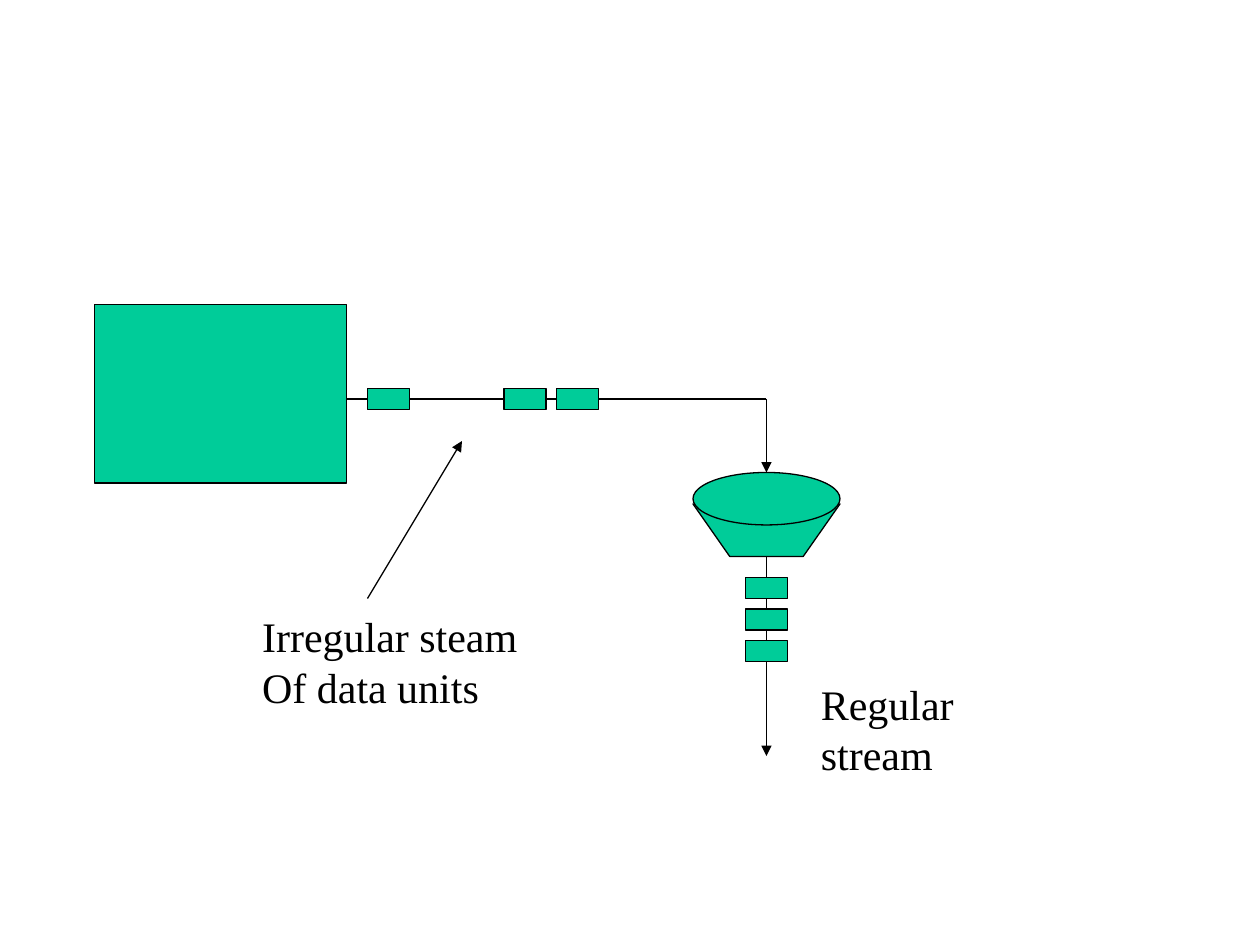
from lxml import etree
from pptx import Presentation
from pptx.dml.color import RGBColor
from pptx.enum.shapes import MSO_CONNECTOR, MSO_SHAPE
from pptx.oxml.ns import qn
from pptx.util import Pt

GREEN, BLACK = "00CC99", "000000"
UNIT_WIDTH, UNIT_HEIGHT = 24, 12
INPUT_Y, OUTPUT_X = 228, 438


def color(hex_value):
    return RGBColor.from_string(hex_value)


def style(shape):
    shape.shadow.inherit = False
    shape.fill.solid()
    shape.fill.fore_color.rgb = color(GREEN)
    shape.line.color.rgb = color(BLACK)
    shape.line.width = Pt(0.75)
    return shape


def add_figure(slide, kind, left, top, width, height):
    return style(slide.shapes.add_shape(kind, Pt(left), Pt(top), Pt(width), Pt(height)))


def add_data_unit(slide, center_x, center_y):
    add_figure(slide, MSO_SHAPE.RECTANGLE, center_x - UNIT_WIDTH / 2,
               center_y - UNIT_HEIGHT / 2, UNIT_WIDTH, UNIT_HEIGHT)


def add_outline(slide, points):
    start, *rest = [(Pt(x), Pt(y)) for x, y in points]
    builder = slide.shapes.build_freeform(*start)
    builder.add_line_segments(rest, close=True)
    return style(builder.convert_to_shape())


def add_line(slide, start, end, arrow=True):
    line = slide.shapes.add_connector(
        MSO_CONNECTOR.STRAIGHT, *[Pt(value) for value in (*start, *end)])
    line.line.color.rgb = color(BLACK)
    line.line.width = Pt(0.75)
    if arrow:
        etree.SubElement(line.line._get_or_add_ln(), qn("a:tailEnd"), type="triangle")
    etree.SubElement(line._element.spPr, qn("a:effectLst"))
    return line


def add_text(slide, lines, left, top, width, height, *, size=24,
             font="Times New Roman", fill=BLACK):
    frame = slide.shapes.add_textbox(Pt(left), Pt(top), Pt(width), Pt(height)).text_frame
    frame.word_wrap = True
    frame.text = "\n".join(lines)
    for paragraph in frame.paragraphs:
        paragraph.line_spacing = Pt(size * 1.2)
        paragraph.font.size = Pt(size)
        paragraph.font.name = font
        paragraph.font.color.rgb = color(fill)


def main():
    deck = Presentation()
    deck.slide_width, deck.slide_height = Pt(720), Pt(540)
    slide = deck.slides.add_slide(deck.slide_layouts[6])

    # Source and its path to the funnel
    add_figure(slide, MSO_SHAPE.RECTANGLE, 54, 174, 144, 102)
    add_line(slide, (198, INPUT_Y), (OUTPUT_X, INPUT_Y), arrow=False)
    inflow = add_line(slide, (OUTPUT_X, INPUT_Y), (OUTPUT_X, 270))

    # Funnel
    add_outline(slide, [(396, 288), (480, 288), (459, 318), (417, 318)])
    funnel_mouth = add_figure(slide, MSO_SHAPE.OVAL, 396, 270, 84, 30)
    inflow.end_connect(funnel_mouth, 0)

    # Irregular data units
    for center_x in (222, 300, 330):
        add_data_unit(slide, center_x, INPUT_Y)

    # Regular data units
    add_line(slide, (OUTPUT_X, 318), (OUTPUT_X, 432))
    for position in range(3):
        add_data_unit(slide, OUTPUT_X, 336 + 18 * position)

    # Labels
    add_line(slide, (210, 342), (264, 252))
    add_text(slide, ["Irregular steam", "Of data units"], 142.7, 345.6, 166, 64.8)
    add_text(slide, ["Regular stream"], 462, 384, 108, 64.8)

    deck.save("out.pptx")


if __name__ == "__main__":
    main()
